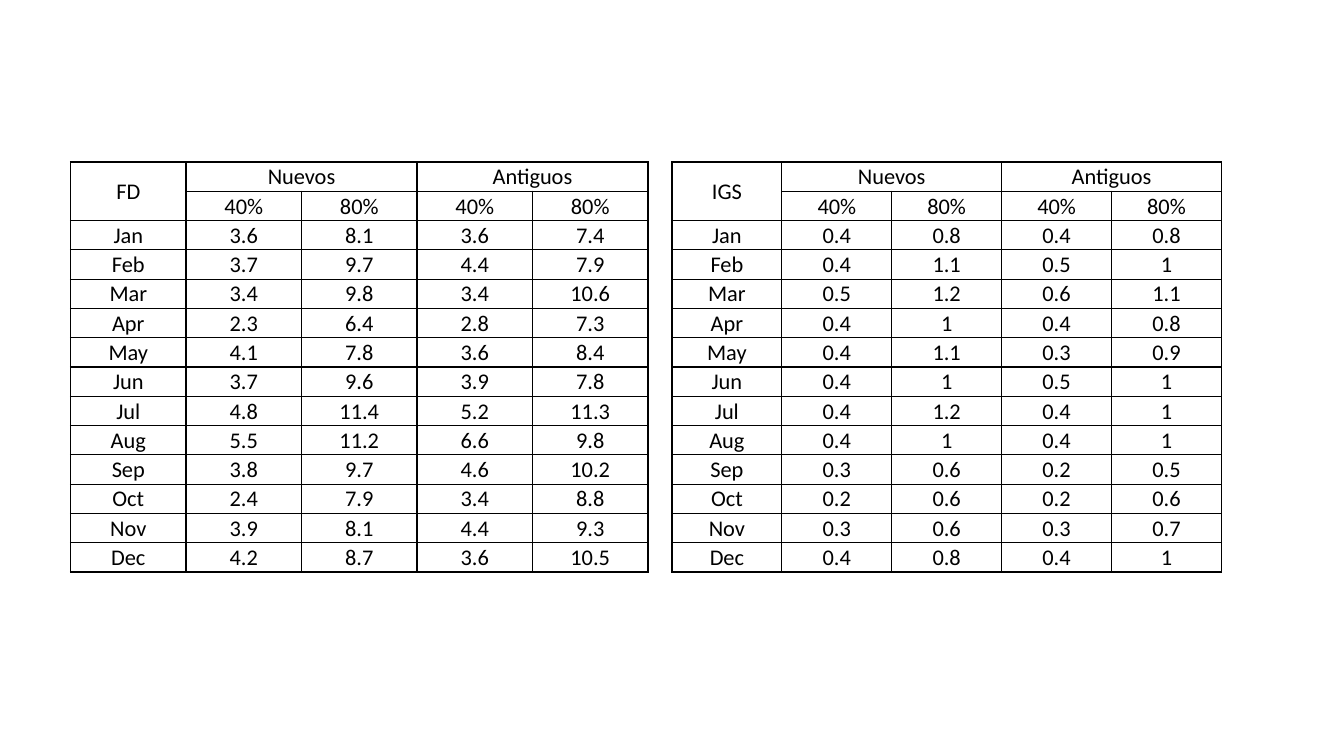
from lxml.etree import SubElement
from pptx import Presentation
from pptx.dml.color import RGBColor
from pptx.enum.text import MSO_ANCHOR as Anchor, PP_ALIGN as Align
from pptx.oxml.ns import qn
from pptx.util import Pt

BLACK = RGBColor(0x00, 0x00, 0x00)
WHITE = RGBColor(0xFF, 0xFF, 0xFF)

TABLE_TOP = 115.7
ROW_HEIGHT = 20.93
MONTHS = ["Jan", "Feb", "Mar", "Apr", "May", "Jun",
          "Jul", "Aug", "Sep", "Oct", "Nov", "Dec"]
GROUPS = ["Nuevos", "Antiguos"]
LEVELS = ["40%", "80%"]

# One row per month: Nuevos 40%, Nuevos 80%, Antiguos 40%, Antiguos 80%
FD_VALUES = [
    (3.6, 8.1, 3.6, 7.4),
    (3.7, 9.7, 4.4, 7.9),
    (3.4, 9.8, 3.4, 10.6),
    (2.3, 6.4, 2.8, 7.3),
    (4.1, 7.8, 3.6, 8.4),
    (3.7, 9.6, 3.9, 7.8),
    (4.8, 11.4, 5.2, 11.3),
    (5.5, 11.2, 6.6, 9.8),
    (3.8, 9.7, 4.6, 10.2),
    (2.4, 7.9, 3.4, 8.8),
    (3.9, 8.1, 4.4, 9.3),
    (4.2, 8.7, 3.6, 10.5),
]
IGS_VALUES = [
    (0.4, 0.8, 0.4, 0.8),
    (0.4, 1.1, 0.5, 1),
    (0.5, 1.2, 0.6, 1.1),
    (0.4, 1, 0.4, 0.8),
    (0.4, 1.1, 0.3, 0.9),
    (0.4, 1, 0.5, 1),
    (0.4, 1.2, 0.4, 1),
    (0.4, 1, 0.4, 1),
    (0.3, 0.6, 0.2, 0.5),
    (0.2, 0.6, 0.2, 0.6),
    (0.3, 0.6, 0.3, 0.7),
    (0.4, 0.8, 0.4, 1),
]


class TablePage:
    font_name = "Calibri"
    font_size = Pt(16)
    text_color = BLACK
    fill_color = WHITE
    border_color = BLACK
    border_width = Pt(1)
    inset = Pt(0.72)

    def __init__(self, page):
        self.page = page

    def monthly_table(self, title, values, left, column_width):
        """Add a table with a two-row heading and one row per month."""
        rows = [
            [title] + [text for group in GROUPS for text in (group, "")],
            [""] + LEVELS * len(GROUPS),
        ]
        rows += [[month, *map(str, numbers)]
                 for month, numbers in zip(MONTHS, values)]
        row_count, column_count = len(rows), len(rows[0])
        table = self.page.shapes.add_table(
            row_count, column_count, Pt(left), Pt(TABLE_TOP),
            Pt(column_width * column_count), Pt(ROW_HEIGHT * row_count)).table
        table.first_row = table.horz_banding = False
        for column in table.columns:
            column.width = Pt(column_width)
        for row in table.rows:
            row.height = Pt(ROW_HEIGHT)

        table.cell(0, 0).merge(table.cell(1, 0))
        for start in range(1, column_count, len(LEVELS)):
            table.cell(0, start).merge(table.cell(0, start + len(LEVELS) - 1))
        for row_index, texts in enumerate(rows):
            for column_index, text in enumerate(texts):
                self.fill_cell(table.cell(row_index, column_index), text)

    def fill_cell(self, cell, text):
        cell.margin_left = cell.margin_right = cell.margin_top = self.inset
        cell.margin_bottom = 0
        cell.vertical_anchor = Anchor.MIDDLE
        self.border_cell(cell)
        cell.fill.solid()
        cell.fill.fore_color.rgb = self.fill_color
        para = cell.text_frame.paragraphs[0]
        para.text = text
        para.alignment = Align.CENTER
        para.font.size = self.font_size
        for span in para.runs:
            span.font.name = self.font_name
            span.font.size = self.font_size
            span.font.color.rgb = self.text_color

    def border_cell(self, cell):
        properties = cell._tc.get_or_add_tcPr()
        for side in ("a:lnL", "a:lnR", "a:lnT", "a:lnB"):
            line = SubElement(properties, qn(side), w=str(self.border_width))
            fill = SubElement(line, qn("a:solidFill"))
            SubElement(fill, qn("a:srgbClr"), val=str(self.border_color))


def main():
    deck = Presentation()
    deck.slide_width, deck.slide_height = Pt(960), Pt(540)
    page = TablePage(deck.slides.add_slide(deck.slide_layouts[6]))
    page.monthly_table("FD", FD_VALUES, left=50.4, column_width=82.5)
    page.monthly_table("IGS", IGS_VALUES, left=480, column_width=78.5)
    deck.save("out.pptx")


if __name__ == "__main__":
    main()
